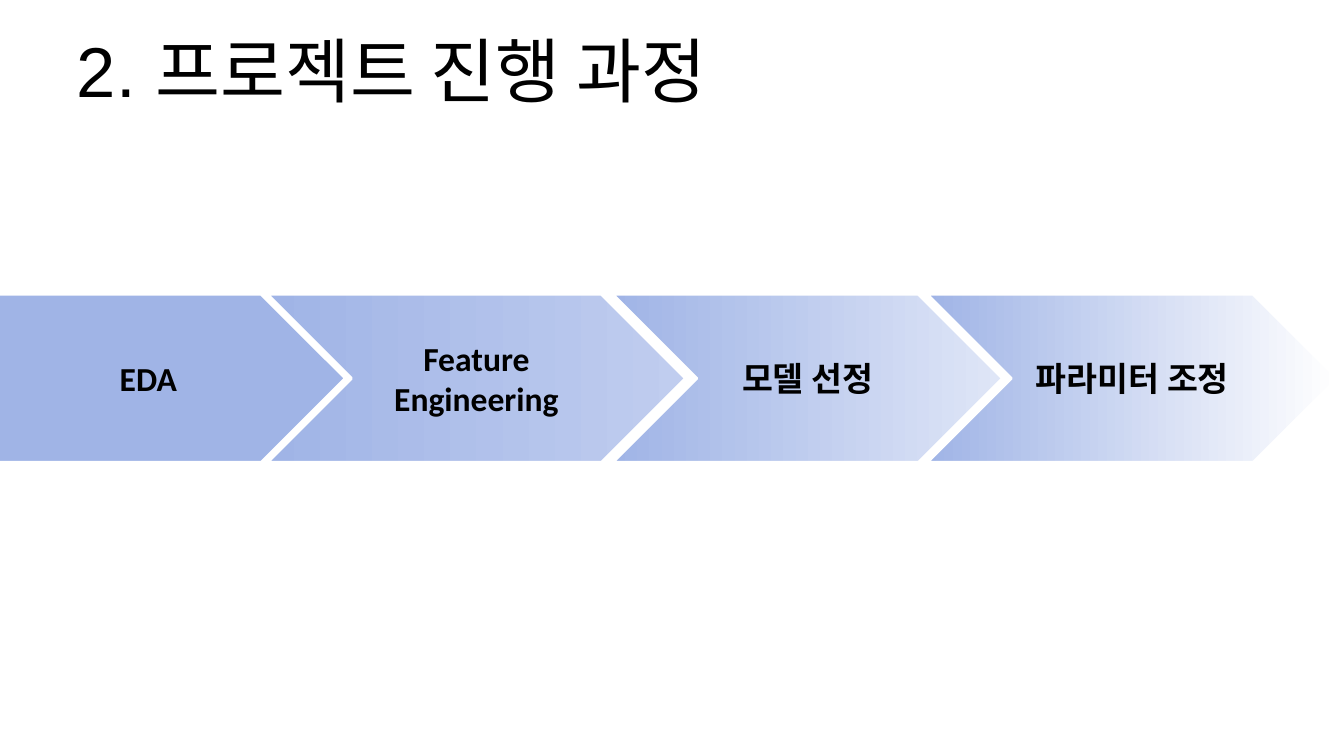
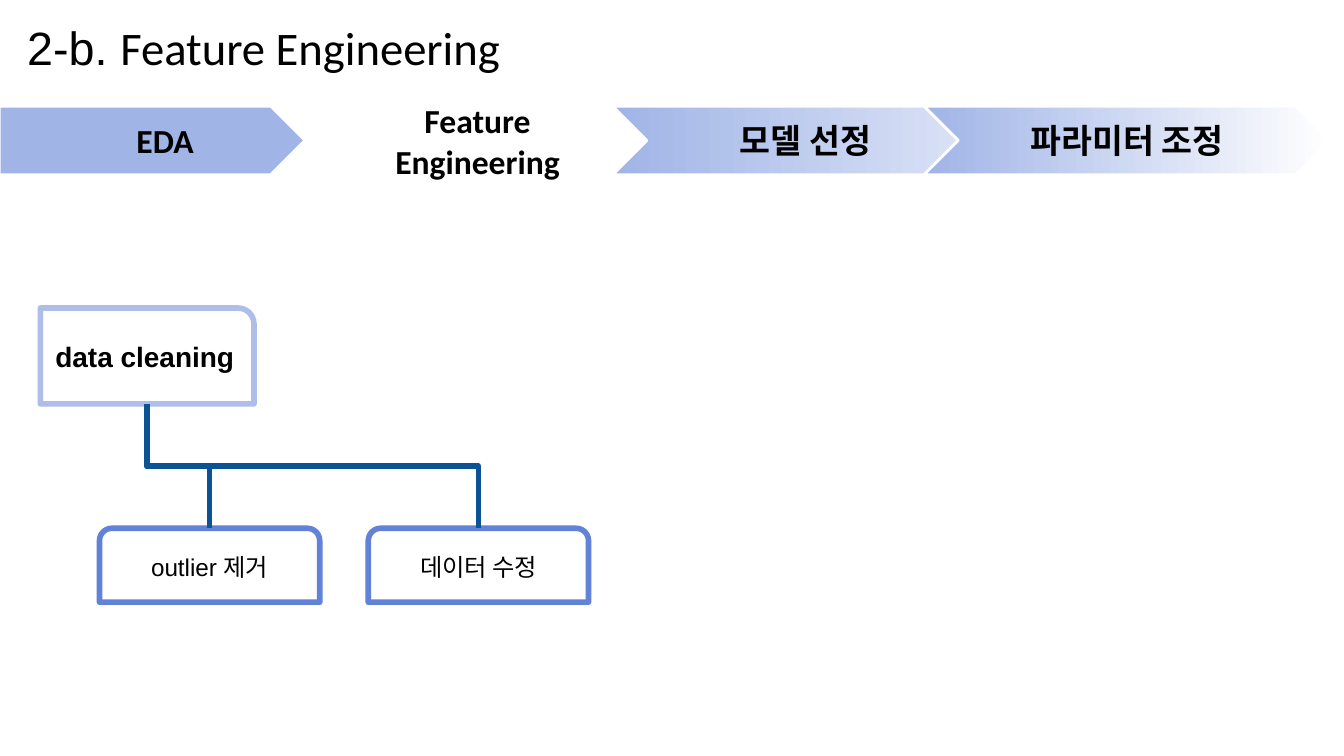
"""Build two slides on the project process: an overview strip and the feature engineering step."""
import pptx
import pptx.dml.color
import pptx.enum.shapes
import pptx.enum.text
import pptx.oxml.ns
import pptx.util
from lxml import etree

Pt = pptx.util.Pt
RGB = pptx.dml.color.RGBColor
SHAPE = pptx.enum.shapes.MSO_SHAPE
ALIGN = pptx.enum.text.PP_ALIGN

BLACK = RGB(0x00, 0x00, 0x00)
WHITE = RGB(0xFF, 0xFF, 0xFF)
PERIWINKLE = RGB(0xA0, 0xB4, 0xE6)
SOFT_BLUE = RGB(0xC0, 0xCD, 0xEF)
PALE_BLUE = RGB(0xDF, 0xE6, 0xF7)
TASK_BLUE = RGB(0xAE, 0xBE, 0xE9)
SUBTASK_BLUE = RGB(0x61, 0x82, 0xD6)
BRANCH_BLUE = RGB(0x0B, 0x53, 0x94)

STEPS = [
    (["EDA"], -3.6, 188.6, PERIWINKLE),
    (["Feature", "Engineering"], 143.3, 223.9, SOFT_BLUE),
    (["모델 선정"], 328.3, 208.8, PALE_BLUE),
    (["파라미터 조정"], 496.8, 219.6, WHITE),
]
OVERVIEW = {
    "title": [("2. 프로젝트 진행 과정", "Arial")],
    "title_box": (36, 16.6, 481, 41), "title_size": 37.8,
    "strip": {"top": 157.7, "height": 90, "shift": 0, "scale": 1, "current": None},
}
ENGINEERING = {
    "title": [("2-b. ", "Arial"), ("Feature Engineering", "Calibri")],
    "title_box": (9.4, 6.5, 494.6, 36.7), "title_size": 25,
    "strip": {"top": 56.9, "height": 36.7, "shift": 3.2, "scale": 0.99, "current": 1},
}
TASK = ("data cleaning", (21.6, 165, 114.5, 51.4))
SUBTASKS = ["outlier 제거", "데이터 수정"]
SUBTASK_BOX = (53.3, 283, 118, 39.6)
SUBTASK_PITCH = 144


def write(frame, paragraphs, size, bold=False, align=ALIGN.CENTER, inset=(5.2, 2.6)):
    frame.word_wrap = True
    frame.auto_size = pptx.enum.text.MSO_AUTO_SIZE.NONE
    frame.vertical_anchor = pptx.enum.text.MSO_ANCHOR.MIDDLE
    frame.margin_left = frame.margin_right = Pt(inset[0])
    frame.margin_top = frame.margin_bottom = Pt(inset[1])
    for index, runs in enumerate(paragraphs):
        paragraph = frame.paragraphs[0] if index == 0 else frame.add_paragraph()
        paragraph.alignment = align
        for words, font in runs:
            run = paragraph.add_run()
            run.text = words
            run.font.name = font
            run.font.size = Pt(size)
            run.font.bold = bold
            run.font.color.rgb = BLACK


def add_box(shapes, preset, box, adjustments, line, line_width, start, end=None):
    shape = shapes.add_shape(preset, *map(Pt, box))
    shape.shadow.inherit = False
    for index, value in enumerate(adjustments):
        shape.adjustments[index] = value
    if end in (None, start):
        shape.fill.solid()
        shape.fill.fore_color.rgb = start
    else:
        shape.fill.gradient()
        shape.fill.gradient_angle = 0
        for stop, colour, position in zip(shape.fill.gradient_stops, (start, end), (0, 1)):
            stop.color.rgb = colour
            stop.position = position
    shape.line.color.rgb = line
    shape.line.width = Pt(line_width)
    return shape


def add_strip(slide, top, height, shift, scale, current):
    strip = slide.shapes.add_group_shape().shapes
    for index, (lines, left, width, end) in enumerate(STEPS):
        preset = SHAPE.CHEVRON if index else SHAPE.PENTAGON
        box = (shift + left * scale, top, width * scale, height)
        colours = (WHITE,) if index == current else (PERIWINKLE, end)
        step = add_box(strip, preset, box, [0.5], WHITE, 1.5, *colours)
        write(step.text_frame, [[(words, "Calibri")] for words in lines], 18, bold=True)


def add_branch(slide, x1, y1, x2, y2):
    middle_x, middle_y = (x1 + x2) / 2, (y1 + y2) / 2
    half_run, half_drop = (x2 - x1) / 2, (y2 - y1) / 2
    branch = slide.shapes.add_connector(
        pptx.enum.shapes.MSO_CONNECTOR.ELBOW,
        Pt(middle_x - half_drop), Pt(middle_y - half_run),
        Pt(middle_x + half_drop), Pt(middle_y + half_run))
    branch.line.color.rgb = BRANCH_BLUE
    branch.line.width = Pt(3)
    properties = branch._element.spPr
    turn = properties.find(pptx.oxml.ns.qn("a:xfrm"))
    turn.set("rot", str(270 * 60000))
    turn.set("flipH", "1")
    etree.SubElement(properties, pptx.oxml.ns.qn("a:effectLst"))


def add_page(deck, content):
    slide = deck.slides.add_slide(deck.slide_layouts[5])
    title = slide.shapes.title
    title.left, title.top, title.width, title.height = map(Pt, content["title_box"])
    write(title.text_frame, [content["title"]], content["title_size"], align=ALIGN.LEFT)
    add_strip(slide, **content["strip"])
    return slide


def add_task_tree(slide):
    words, box = TASK
    task = add_box(slide.shapes, SHAPE.ROUND_1_RECTANGLE, box, [0.167], TASK_BLUE, 3, WHITE)
    write(task.text_frame, [[(words, "Arial")]], 15, bold=True, inset=(7.2, 7.2))
    root_x, root_y = box[0] + box[2] / 2, box[1] + box[3]
    left, top, width, height = SUBTASK_BOX
    for index, words in enumerate(SUBTASKS):
        x = left + index * SUBTASK_PITCH
        subtask = add_box(slide.shapes, SHAPE.ROUND_2_SAME_RECTANGLE, (x, top, width, height),
                          [0.167, 0], SUBTASK_BLUE, 3, WHITE)
        write(subtask.text_frame, [[(words, "Arial")]], 13, inset=(7.2, 7.2))
        add_branch(slide, root_x, root_y, x + width / 2, top)


def main():
    deck = pptx.Presentation()
    deck.slide_width, deck.slide_height = Pt(720), Pt(405)
    add_page(deck, OVERVIEW)
    add_task_tree(add_page(deck, ENGINEERING))
    deck.save("out.pptx")


if __name__ == "__main__":
    main()
